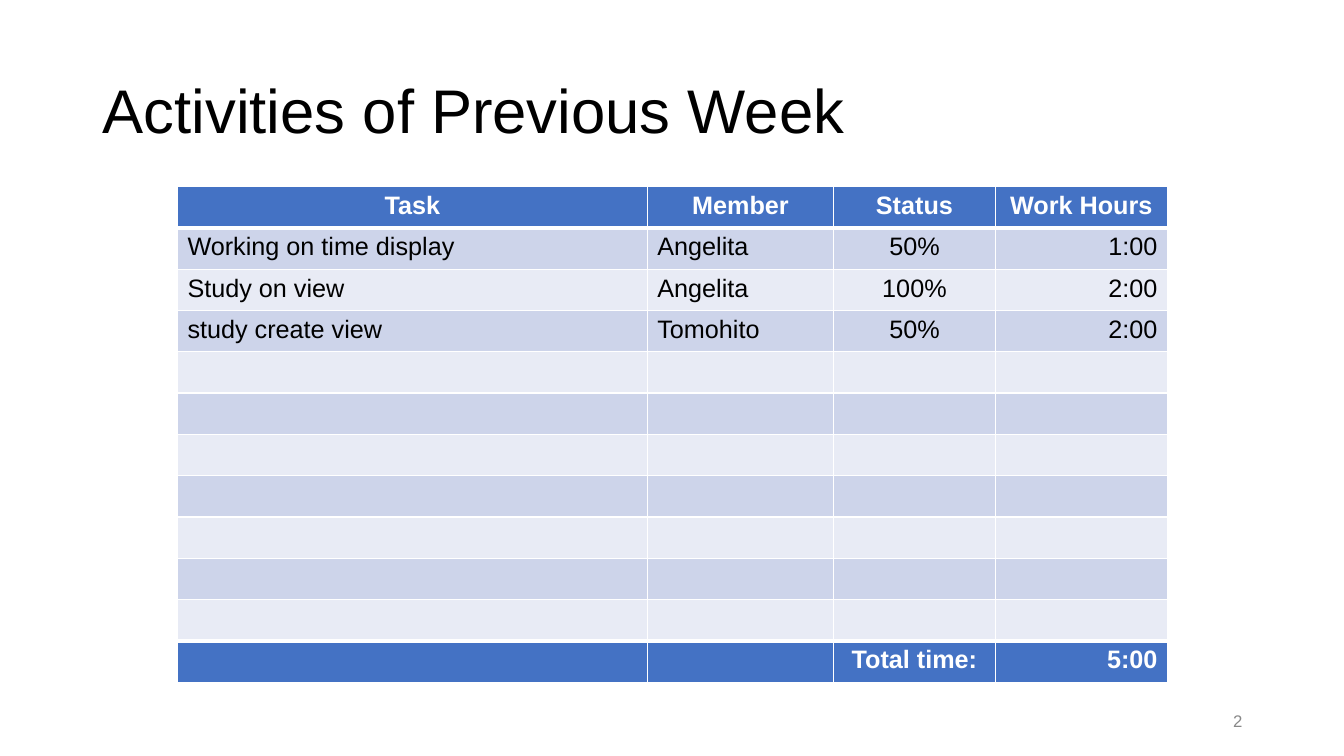
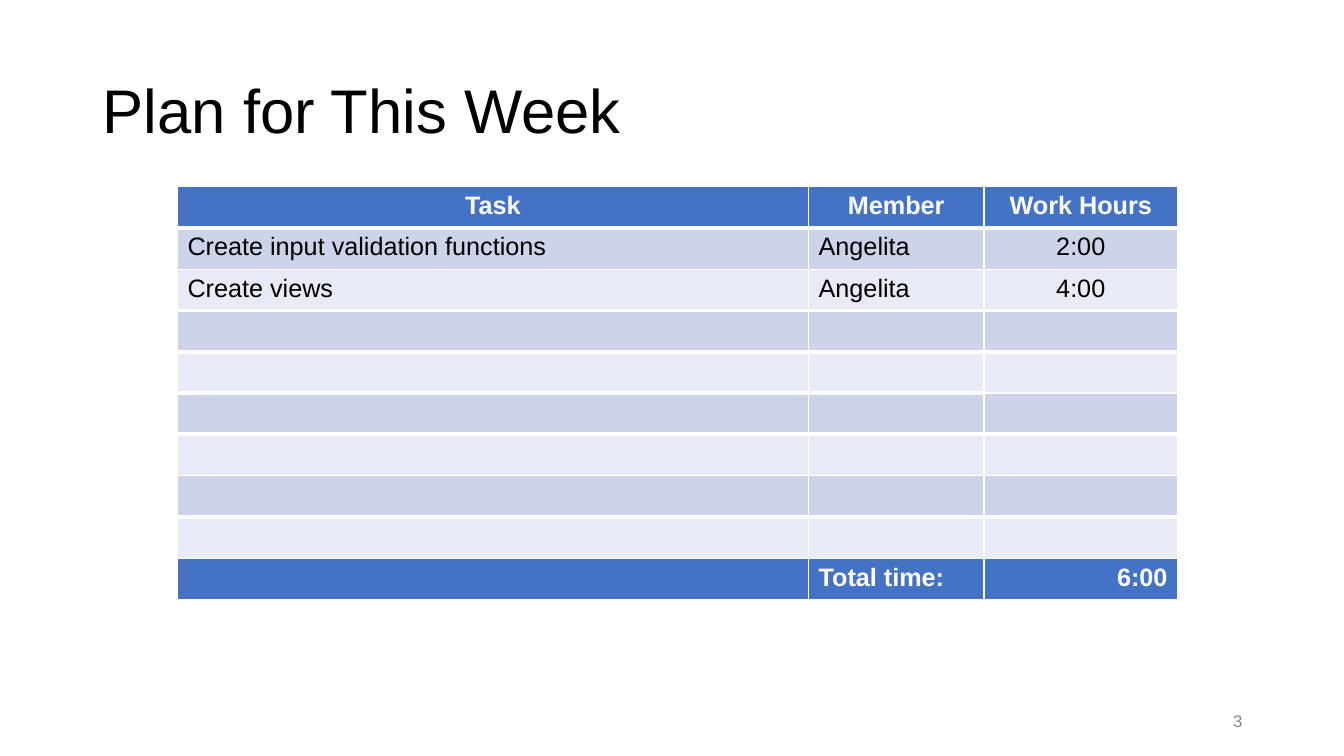
from lxml.etree import SubElement
from pptx import Presentation
from pptx.dml.color import RGBColor
from pptx.enum.text import MSO_ANCHOR, PP_ALIGN
from pptx.oxml.ns import qn
from pptx.util import Pt

PX = 9144  # EMU per px, 100 px to the inch
FONT = "Arial"
COLORS = {"text": "000000", "head": "4472C4", "on_head": "FFFFFF", "rule": "FFFFFF",
          "odd": "CDD4EA", "even": "E8EBF5", "number": "888888"}
ALIGN = {"l": PP_ALIGN.LEFT, "c": PP_ALIGN.CENTER, "r": PP_ALIGN.RIGHT}

TITLE_BOX = (92, 40, 1150, 145)
NUMBER_BOX = (942, 695, 300, 40)
TABLE_LEFT, TABLE_TOP, ROW_H = 176, 185, 41
THIN, THICK = 1, 3

# Rule n is the line above row n; "thin_at" lists (rule, column) exceptions.
SLIDES = [
    {
        "number": 2,
        "title": "Activities of Previous Week",
        "widths": [466, 185, 160, 171],
        "head": ["Task", "Member", "Status", "Work Hours"],
        "tasks": [
            ["Working on time display", "Angelita", "50%", "1:00"],
            ["Study on view", "Angelita", "100%", "2:00"],
            ["study create view", "Tomohito", "50%", "2:00"],
        ],
        "blank_rows": 7,
        "total": ["", "", "Total time:", "5:00"],
        "task_align": "llcr",
        "total_align": "llcr",
        "thick_rules": {1, 11},
        "thin_at": set(),
    },
    {
        "number": 3,
        "title": "Plan for This Week",
        "widths": [626, 174, 192],
        "head": ["Task", "Member", "Work Hours"],
        "tasks": [
            ["Create input validation functions", "Angelita", "2:00"],
            ["Create views", "Angelita", "4:00"],
        ],
        "blank_rows": 6,
        "total": ["", "Total time:", "6:00"],
        "task_align": "llc",
        "total_align": "llr",
        "thick_rules": {1, 3, 4, 5, 6, 8},
        "thin_at": {(5, 2)},
    },
]


def rgb(name):
    return RGBColor.from_string(COLORS[name])


def emu(box):
    return [v * PX for v in box]


def write(tf, text, size, color, align="l", bold=False):
    tf.text = text
    p = tf.paragraphs[0]
    p.alignment = ALIGN[align]
    for r in p.runs:
        r.font.name, r.font.size, r.font.bold = FONT, Pt(size), bold
        r.font.color.rgb = rgb(color)
    return p


def add_title(s, text):
    title = s.shapes.title
    title.left, title.top, title.width, title.height = emu(TITLE_BOX)
    title.text_frame.vertical_anchor = MSO_ANCHOR.MIDDLE
    write(title.text_frame, text, 44, "text").line_spacing = 0.9


def add_number(s, number):
    tf = s.shapes.add_textbox(*emu(NUMBER_BOX)).text_frame
    tf.word_wrap = True
    tf.vertical_anchor = MSO_ANCHOR.MIDDLE
    write(tf, str(number), 12, "number", "r")


def set_borders(cell, top, bottom):
    tcPr = cell._tc.get_or_add_tcPr()
    for side, width in (("L", THIN), ("R", THIN), ("T", top), ("B", bottom)):
        ln = SubElement(tcPr, qn(f"a:ln{side}"), w=str(Pt(width)))
        fill = SubElement(ln, qn("a:solidFill"))
        SubElement(fill, qn("a:srgbClr"), val=COLORS["rule"])


def add_task_table(s, data):
    widths = data["widths"]
    blank = [""] * len(widths)
    rows = [data["head"], *data["tasks"], *[blank] * data["blank_rows"], data["total"]]
    last = len(rows) - 1
    box = (TABLE_LEFT, TABLE_TOP, sum(widths), ROW_H * len(rows))
    table = s.shapes.add_table(len(rows), len(widths), *emu(box)).table
    table.first_row = table.horz_banding = False
    for column, width in zip(table.columns, widths):
        column.width = width * PX

    def rule_width(rule, col):
        thick = rule in data["thick_rules"] and (rule, col) not in data["thin_at"]
        return THICK if thick else THIN

    for i, row in enumerate(rows):
        table.rows[i].height = ROW_H * PX
        strong = i in (0, last)
        fill = "head" if strong else "odd" if i % 2 else "even"
        color = "on_head" if strong else "text"
        aligns = {0: "c" * len(widths), last: data["total_align"]}.get(i, data["task_align"])
        for j, text in enumerate(row):
            cell = table.cell(i, j)
            set_borders(cell, rule_width(i, j), rule_width(i + 1, j))
            cell.fill.solid()
            cell.fill.fore_color.rgb = rgb(fill)
            write(cell.text_frame, text, 18, color, aligns[j], strong)


def main():
    prs = Presentation()
    prs.slide_width, prs.slide_height = emu((1333, 750))
    for data in SLIDES:
        s = prs.slides.add_slide(prs.slide_layouts[5])
        add_title(s, data["title"])
        add_task_table(s, data)
        add_number(s, data["number"])
    prs.save("out.pptx")


if __name__ == "__main__":
    main()
